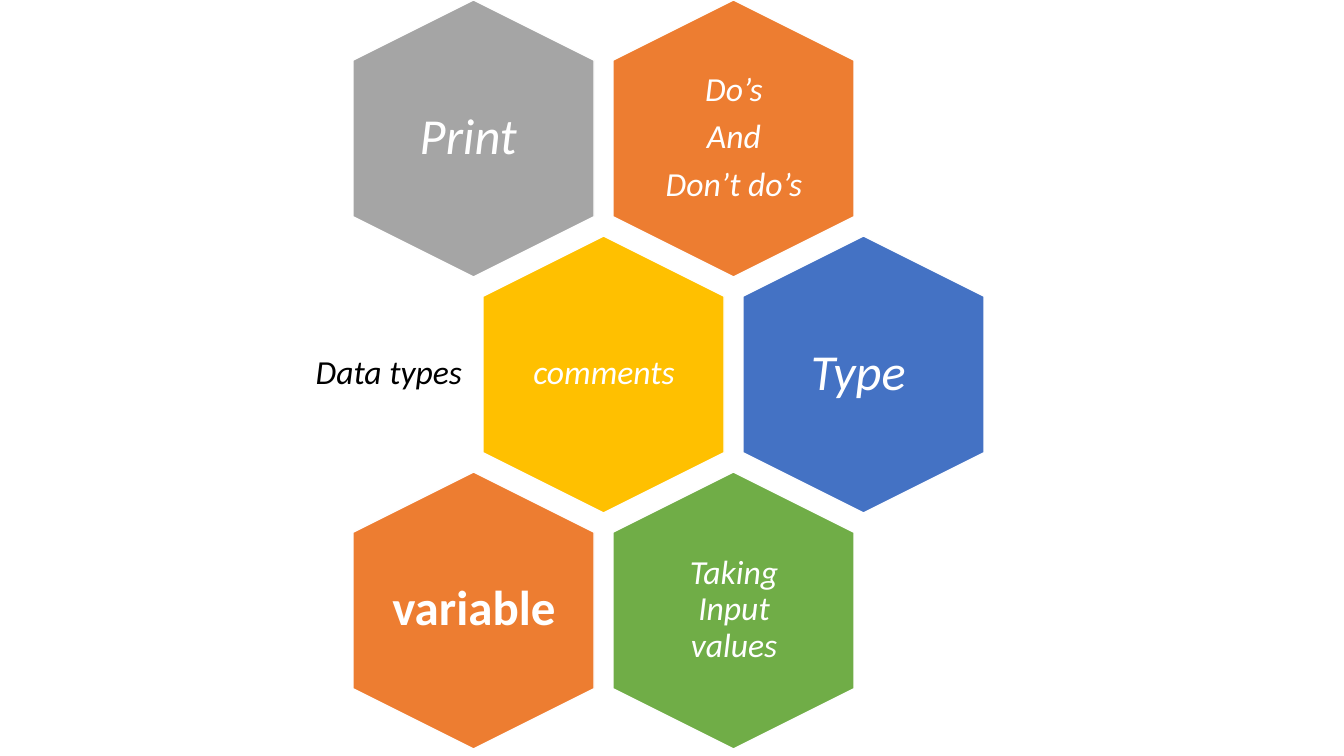
"""Build a slide with a honeycomb of Python basics."""
from pptx import Presentation
from pptx.dml.color import RGBColor
from pptx.enum.shapes import MSO_SHAPE
from pptx.enum.text import MSO_ANCHOR, PP_ALIGN
from pptx.util import Pt

PX = 914400 / 100.8
WHITE = RGBColor(0xFF, 0xFF, 0xFF)
BLACK = RGBColor(0x00, 0x00, 0x00)
ORANGE = RGBColor(0xED, 0x7D, 0x31)
GRAY = RGBColor(0xA5, 0xA5, 0xA5)
GOLD = RGBColor(0xFF, 0xC0, 0x00)
BLUE = RGBColor(0x44, 0x72, 0xC4)
GREEN = RGBColor(0x70, 0xAD, 0x47)

LEFT, TOP = 335, 18
COLUMN_STEP, ROW_STEP = 130, 236
HEXAGON_WIDTH, HEXAGON_HEIGHT = 277, 241


def px(*lengths):
    return [round(length * PX) for length in lengths]


def add_label(page, bounds, text, size, color, inset, align=PP_ALIGN.CENTER, bold=False):
    box = page.shapes.add_textbox(*px(*bounds))
    frame = box.text_frame
    frame.word_wrap = True
    frame.vertical_anchor = MSO_ANCHOR.MIDDLE
    frame.margin_left = frame.margin_right = px(inset)[0]
    frame.margin_top = frame.margin_bottom = px(inset)[0]
    frame.text = text
    for para in frame.paragraphs:
        para.alignment = align
        para.line_spacing = 0.9
        para.space_after = Pt(8)
        for span in para.runs:
            span.font.name = "Calibri"
            span.font.size = Pt(size)
            span.font.bold = bold
            span.font.italic = not bold
            span.font.color.rgb = color


deck = Presentation()
deck.slide_width, deck.slide_height = px(1344, 756)
page = deck.slides.add_slide(deck.slide_layouts[6])

cells = [
    (2, 0, ORANGE, "Do’s\nAnd\nDon’t do’s", 24, 10, False),
    (0, 0, GRAY, "Print ", 36, 0, False),
    (1, 1, GOLD, "comments", 24, 10, False),
    (3, 1, BLUE, "Type ", 36, 0, False),
    (2, 2, GREEN, "Taking Input values", 24, 10, False),
    (0, 2, ORANGE, "variable", 35, 0, True),
]
for column, row, fill, text, size, inset, bold in cells:
    left = LEFT + column * COLUMN_STEP
    top = TOP + row * ROW_STEP
    hexagon = page.shapes.add_shape(
        MSO_SHAPE.HEXAGON, *px(left, top, HEXAGON_WIDTH, HEXAGON_HEIGHT))
    hexagon.rotation = 90
    hexagon.adjustments[0] = 0.25
    hexagon.shadow.inherit = False
    hexagon.fill.solid()
    hexagon.fill.fore_color.rgb = fill
    hexagon.line.color.rgb = WHITE
    hexagon.line.width = Pt(1)
    add_label(page, (left + 56, top + 25, 166, 190), text, size, WHITE, inset, bold=bold)

add_label(page, (172, 291, 300, 166), "Data types", 24, BLACK, 10, PP_ALIGN.RIGHT)

deck.save("out.pptx")
